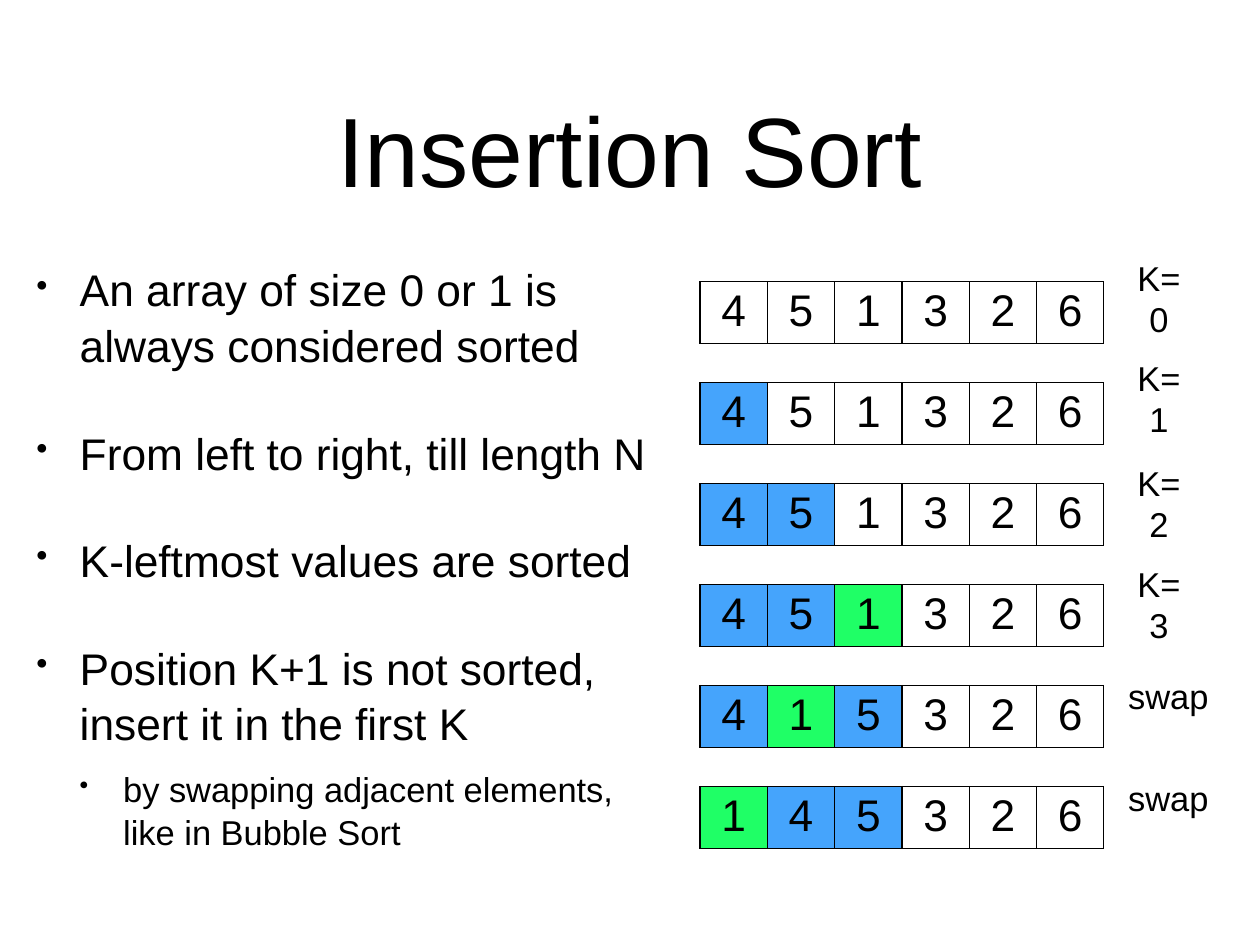
from dataclasses import dataclass

from lxml import etree
from pptx import Presentation
from pptx import util as u
from pptx.dml.color import RGBColor
from pptx.enum import text
from pptx.oxml import ns

FONT = "Arial"
COLORS = {"ink": "000000", "paper": "FFFFFF", "sorted": "45A4FC", "inserting": "1FFF66"}
ARRAY_LEFT, ARRAY_TOP, ARRAY_STEP = 7.9, 3.18, 1.14
CELL_WIDTH, CELL_HEIGHT = 0.76, 0.66
LABEL_LEFT, LABEL_HEIGHT = 12.67, 0.58


@dataclass
class Bullet:
    wording: str
    size: int = 36
    level: int = 0
    space_before: int = 42


@dataclass
class Step:
    values: str
    sorted_cells: tuple[int, ...]
    inserting_cell: int | None
    label: str
    label_top: float
    label_width: float = 0.82


BULLETS = [
    Bullet("An array of size 0 or 1 is always considered sorted"),
    Bullet("From left to right, till length N"),
    Bullet("K-leftmost values are sorted"),
    Bullet("Position K+1 is not sorted, insert it in the first K"),
    Bullet("by swapping adjacent elements, like in Bubble Sort", 28, 1, 13),
]

STEPS = [
    Step("451326", (), None, "K=0", 3.08),
    Step("451326", (0,), None, "K=1", 4.21),
    Step("451326", (0, 1), None, "K=2", 5.39),
    Step("451326", (0, 1), 2, "K=3", 6.53),
    Step("415326", (0, 2), 1, "swap", 7.57, 1.03),
    Step("145326", (1, 2), 0, "swap", 8.72, 1.03),
]


def add_run(paragraph, wording: str, size: int) -> None:
    run = paragraph.add_run()
    run.text = wording
    run.font.name = FONT
    run.font.size = u.Pt(size)
    run.font.color.rgb = RGBColor.from_string(COLORS["ink"])


def add_text_frame(slide, left: float, top: float, width: float, height: float, wrap: bool = True):
    shape = slide.shapes.add_textbox(u.Inches(left), u.Inches(top), u.Inches(width), u.Inches(height))
    frame = shape.text_frame
    frame.word_wrap = wrap
    frame.vertical_anchor = text.MSO_ANCHOR.MIDDLE
    frame.margin_left = frame.margin_right = u.Inches(0.06)
    frame.margin_top = frame.margin_bottom = u.Inches(0.06)
    return frame


def add_centred_text(frame, wording: str, size: int) -> None:
    paragraph = frame.paragraphs[0]
    paragraph.alignment = text.PP_ALIGN.CENTER
    add_run(paragraph, wording, size)


def set_bullet(paragraph, level: int) -> None:
    indent = u.Inches(0.49)
    properties = paragraph._p.get_or_add_pPr()
    properties.set("marL", str(indent * (level + 1)))
    properties.set("indent", str(-indent))
    etree.SubElement(properties, ns.qn("a:buSzPct")).set("val", "75000")
    etree.SubElement(properties, ns.qn("a:buChar")).set("char", "•")


def add_bullets(slide, bullets: list[Bullet]) -> None:
    frame = add_text_frame(slide, 0.35, 2.84, 7.19, 6.88)
    for index, bullet in enumerate(bullets):
        paragraph = frame.add_paragraph() if index else frame.paragraphs[0]
        paragraph.level = bullet.level
        paragraph.line_spacing = 1.05
        paragraph.space_before = u.Pt(bullet.space_before)
        set_bullet(paragraph, bullet.level)
        add_run(paragraph, bullet.wording, bullet.size)


def set_borders(cell) -> None:
    properties = cell._tc.get_or_add_tcPr()
    for position, side in enumerate(("lnL", "lnR", "lnT", "lnB")):
        line = etree.Element(ns.qn(f"a:{side}"), w=str(u.Pt(1)))
        fill = etree.SubElement(line, ns.qn("a:solidFill"))
        etree.SubElement(fill, ns.qn("a:srgbClr")).set("val", COLORS["ink"])
        properties.insert(position, line)


def add_array(slide, step: Step, top: float) -> None:
    count = len(step.values)
    table = slide.shapes.add_table(
        1, count, u.Inches(ARRAY_LEFT), u.Inches(top),
        u.Inches(CELL_WIDTH * count), u.Inches(CELL_HEIGHT),
    ).table
    table.first_row = table.horz_banding = False
    for index, value in enumerate(step.values):
        table.columns[index].width = u.Inches(CELL_WIDTH)
        cell = table.cell(0, index)
        if index == step.inserting_cell:
            color = "inserting"
        else:
            color = "sorted" if index in step.sorted_cells else "paper"
        cell.fill.solid()
        cell.fill.fore_color.rgb = RGBColor.from_string(COLORS[color])
        set_borders(cell)
        add_centred_text(cell.text_frame, value, 36)


def add_label(slide, step: Step) -> None:
    frame = add_text_frame(slide, LABEL_LEFT, step.label_top, step.label_width, LABEL_HEIGHT, wrap=False)
    frame.auto_size = text.MSO_AUTO_SIZE.SHAPE_TO_FIT_TEXT
    add_centred_text(frame, step.label, 28)


def main() -> None:
    presentation = Presentation()
    presentation.slide_width = u.Inches(14.22)
    presentation.slide_height = u.Inches(10.67)
    slide = presentation.slides.add_slide(presentation.slide_layouts[6])

    # Title and explanation
    add_centred_text(add_text_frame(slide, 1.04, 0.49, 12.14, 2.36), "Insertion Sort", 80)
    add_bullets(slide, BULLETS)

    # Array states with their labels
    for index, step in enumerate(STEPS):
        add_array(slide, step, ARRAY_TOP + index * ARRAY_STEP)
        add_label(slide, step)

    presentation.save("out.pptx")


if __name__ == "__main__":
    main()
